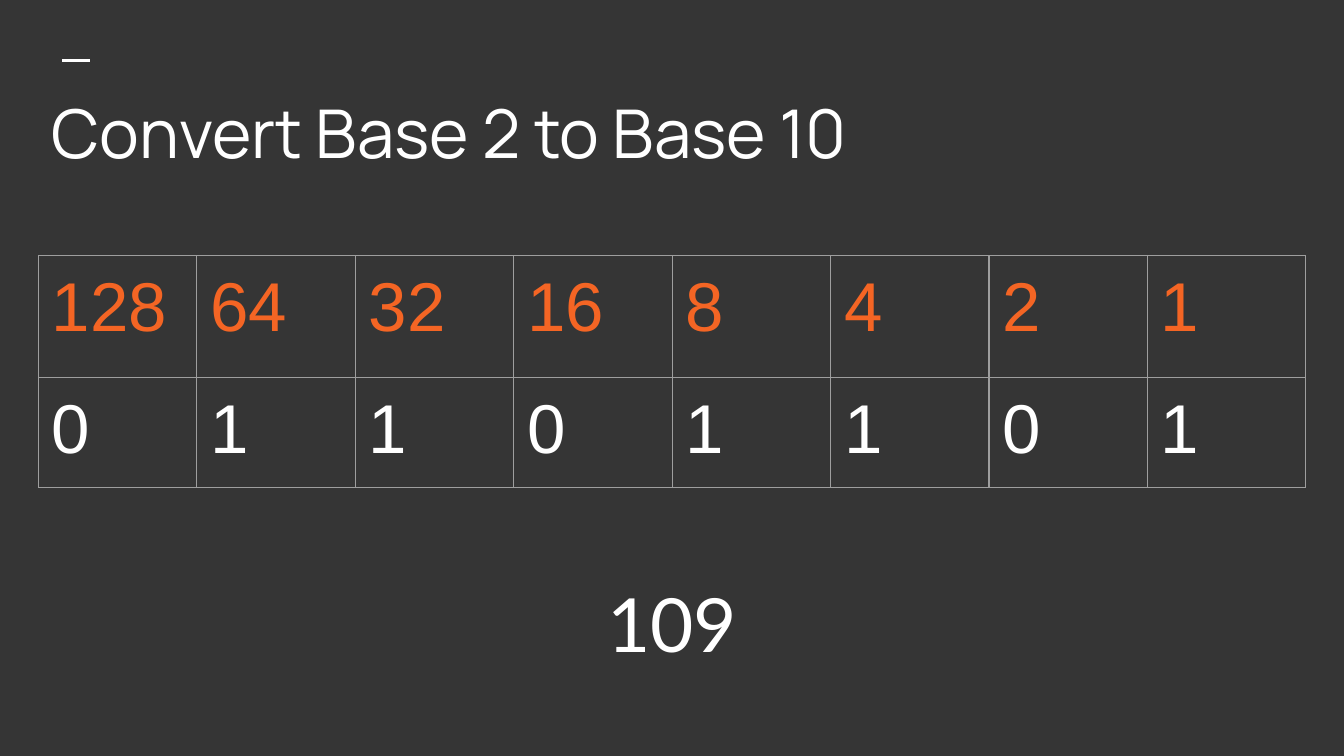
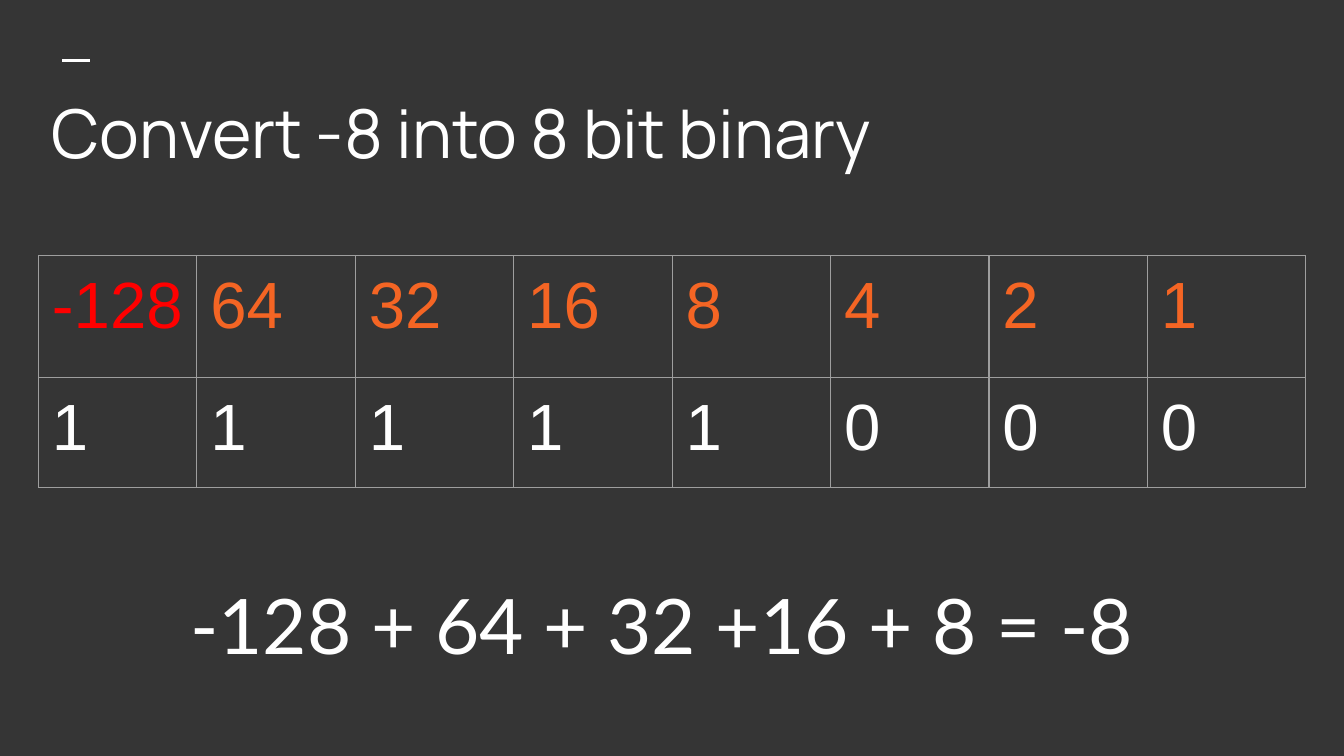
"""Builds two slides on binary place values."""
from lxml import etree
from pptx import Presentation
from pptx.dml.color import RGBColor
from pptx.enum import shapes, text
from pptx.oxml import ns
from pptx.util import Pt

COLORS = {
    "background": "353535",
    "plain": "FFFFFF",
    "place": "F46524",
    "negative": "FF0000",
    "border": "9E9E9E",
}
LEFT, WIDTH, INSET = 20.6, 679, 7.2
ROW_HEIGHTS = (65.4, 58.8)


def rgb(name):
    return RGBColor.from_string(COLORS[name])


def write(frame, content, *, font, size, color="plain", align=None, after=None):
    paragraph = frame.paragraphs[0]
    paragraph.alignment = align
    if after is not None:
        paragraph.space_after = Pt(after)
    run = paragraph.add_run()
    run.text = content
    run.font.name = font
    run.font.size = Pt(size)
    run.font.color.rgb = rgb(color)


def set_margins(holder):
    for side in ("left", "top", "right", "bottom"):
        setattr(holder, f"margin_{side}", Pt(INSET))


def add_borders(cell):
    properties = cell._tc.get_or_add_tcPr()
    for side in "LRTB":
        border = etree.SubElement(properties, ns.qn(f"a:ln{side}"), w=str(Pt(0.75)))
        fill = etree.SubElement(border, ns.qn("a:solidFill"))
        etree.SubElement(fill, ns.qn("a:srgbClr"), val=COLORS["border"])


class Deck:
    def __init__(self):
        self.presentation = Presentation()
        self.presentation.slide_width = Pt(720)
        self.presentation.slide_height = Pt(405)
        self.slide = None

    def add_slide(self, title):
        self.slide = self.presentation.slides.add_slide(self.presentation.slide_layouts[6])
        background = self.slide.background.fill
        background.solid()
        background.fore_color.rgb = rgb("background")
        self.add_dash()
        self.add_text(title, 42.5, 56.2, anchor=text.MSO_ANCHOR.MIDDLE,
                      font="Manrope", size=36, after=10)

    def add_dash(self):
        dash = self.slide.shapes.add_connector(
            shapes.MSO_CONNECTOR.STRAIGHT, Pt(33.5), Pt(32.4), Pt(48), Pt(32.4))
        dash.line.color.rgb = rgb("plain")
        dash.line.width = Pt(1.5)
        etree.SubElement(dash._element.spPr, ns.qn("a:effectLst"))

    def add_text(self, content, top, height, *, anchor=text.MSO_ANCHOR.TOP, **style):
        frame = self.slide.shapes.add_textbox(
            Pt(LEFT), Pt(top), Pt(WIDTH), Pt(height)).text_frame
        frame.word_wrap = True
        frame.vertical_anchor = anchor
        set_margins(frame)
        write(frame, content, **style)

    def add_place_values(self, places, bits, size):
        grid = self.slide.shapes.add_table(
            2, len(places), Pt(LEFT), Pt(137), Pt(WIDTH), Pt(sum(ROW_HEIGHTS))).table
        grid.first_row = grid.horz_banding = False
        for row, height, values in zip(grid.rows, ROW_HEIGHTS, (places, bits)):
            row.height = Pt(height)
            for cell, value in zip(row.cells, values):
                color = "plain"
                if values is places:
                    color = "negative" if value.startswith("-") else "place"
                add_borders(cell)
                cell.fill.background()
                set_margins(cell)
                write(cell.text_frame, value, font="Arial", size=size, color=color)

    def add_answer(self, content, size):
        self.add_text(content, 302.4, 63.6, font="Lato", size=size,
                      align=text.PP_ALIGN.CENTER)


def main():
    deck = Deck()
    places = [str(2 ** power) for power in reversed(range(8))]

    deck.add_slide("Convert Base 2 to Base 10")
    deck.add_place_values(places, "01101101", size=37)
    deck.add_answer("109", size=40)

    deck.add_slide("Convert -8 into 8 bit binary")
    deck.add_place_values(["-128", *places[1:]], "11111000", size=35)
    deck.add_answer("-128 + 64 + 32 +16 + 8 = -8 ", size=41)

    deck.presentation.save("out.pptx")


if __name__ == "__main__":
    main()
